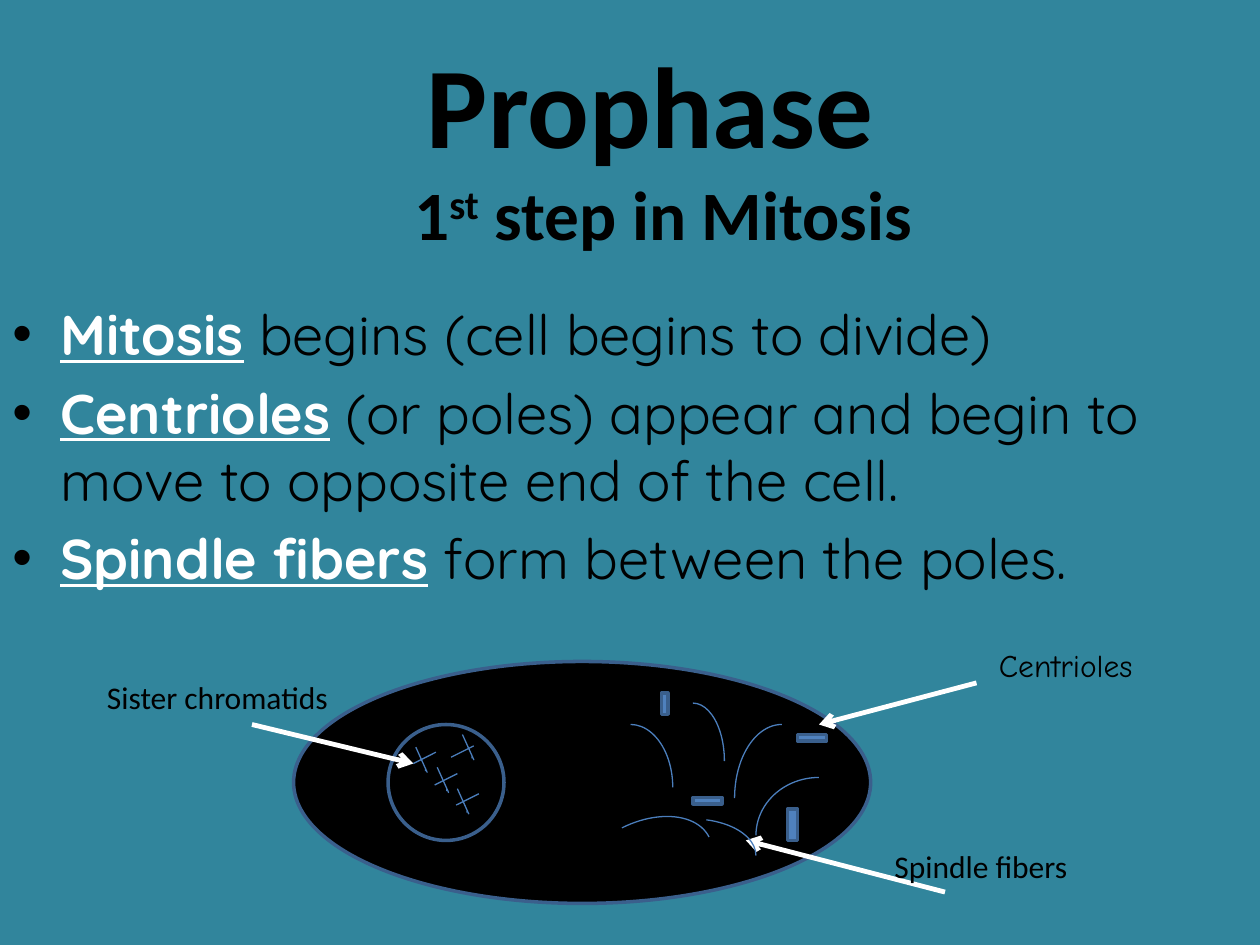
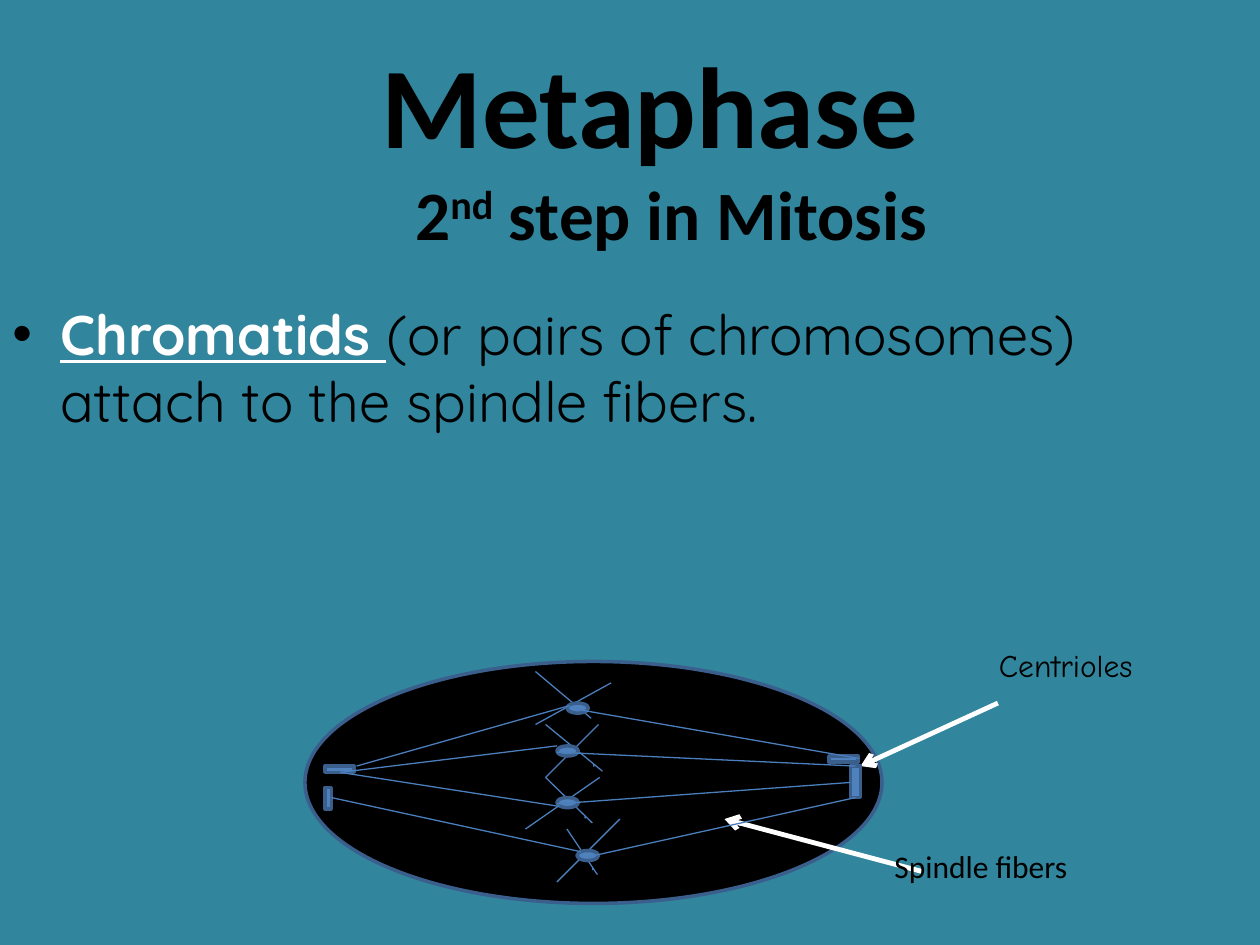
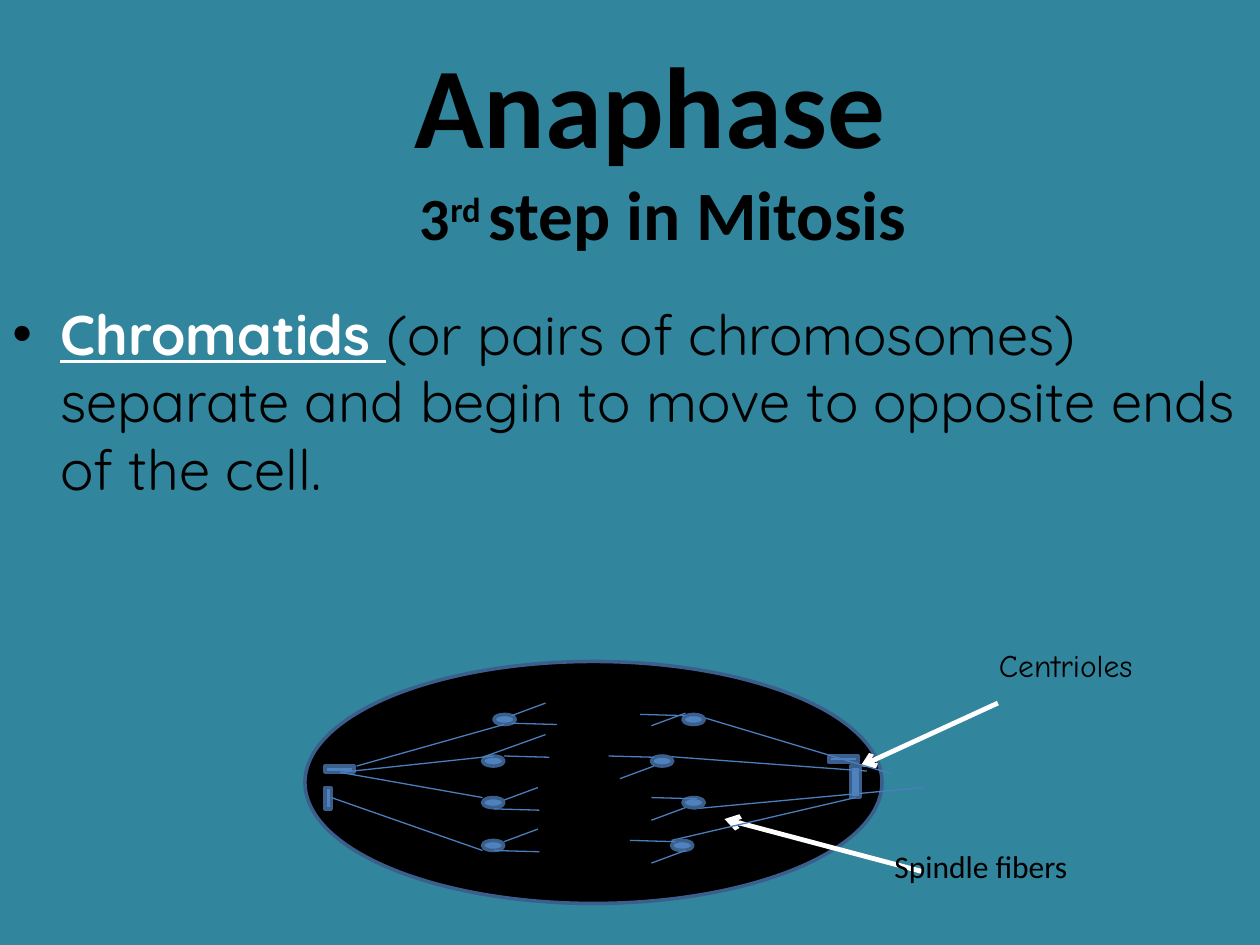
from dataclasses import dataclass

from lxml import etree
from pptx import Presentation
from pptx.dml.color import RGBColor
from pptx.enum.shapes import MSO_CONNECTOR, MSO_SHAPE
from pptx.enum.text import MSO_ANCHOR, MSO_AUTO_SIZE, PP_ALIGN
from pptx.oxml.ns import qn
from pptx.util import Inches, Pt


@dataclass(frozen=True)
class Theme:
    background: str = "31859C"
    text: str = "000000"
    accent: str = "FFFFFF"
    cell: str = "000000"
    organelle: str = "4F81BD"
    outline: str = "3A5F8C"
    strand: str = "4B7EBC"
    heading_font: str = "Calibri"
    body_font: str = "Quicksand"
    note_font: str = "Comic Neue"
    phase_size: float = 65.7
    step_size: float = 39.6
    small_step_size: float = 34.2
    body_size: float = 32
    label_size: float = 18
    outline_width: float = 2
    strand_width: float = 0.75
    pointer_width: float = 2.75


THEME = Theme()
TITLE_BOX = (0, 0.17, 10, 1.94)
BODY_BOX = (0, 2.33, 10, 2.75)
CELL_SIZE = (4.58, 1.92)
KINETOCHORE_SIZE = (0.17, 0.08)
RISING_ARM = (0.27, -0.1)
FLAT_ARM = (0.36, 0.01)
CHROMATID_FALL = (0.09, 0.2)
CHROMATID_RISE = (-0.18, 0.09)


def arms(starts, delta):
    return [(x, y, x + delta[0], y + delta[1]) for x, y in starts]


# Labels: text, font, left, top, width, wraps
CENTRIOLES = ("Centrioles", THEME.note_font, 7.83, 5.08, 2.17, True)
SPINDLE_FIBERS = ("Spindle fibers", THEME.heading_font, 7, 6.67, 1.73, False)
SISTER_CHROMATIDS = ("Sister chromatids", THEME.heading_font, 0.75, 5.33, 2.15, False)

POLE_POINTERS = [(7.92, 5.58, 6.83, 6.08), (7.33, 6.92, 5.75, 6.5)]
POLE_CENTRIOLES = [(2.58, 6.25, 0.05, 0.17), (6.58, 6, 0.23, 0.05),
                   (6.75, 6.08, 0.08, 0.25), (2.58, 6.08, 0.23, 0.05)]

SLIDES = [
    {
        "phase": "Prophase ",
        "step": [("1", THEME.step_size, False), ("st", THEME.step_size, True),
                 (" step in Mitosis", THEME.step_size, False)],
        "bullets": [
            ("Mitosis", " begins (cell begins to divide)"),
            ("Centrioles", " (or poles) appear and begin to move to opposite end of the cell."),
            ("Spindle fibers", " form between the poles."),
        ],
        "diagram": [
            ("cell", [(2.33, 5.25)]),
            ("nucleus", [(3.08, 5.75, 0.92, 0.92)]),
            ("pointer", [(7.75, 5.42, 6.5, 5.75), (2, 5.75, 3.28, 6.06),
                         (7.5, 7.08, 5.92, 6.67)]),
            ("label", [CENTRIOLES, SISTER_CHROMATIDS, SPINDLE_FIBERS]),
            ("hooked", arms([(3.3, 5.93), (3.47, 6.09), (3.63, 6.26), (3.67, 5.83)],
                            CHROMATID_FALL)),
            ("strand", arms([(3.46, 5.97), (3.63, 6.14), (3.8, 6.3), (3.76, 5.92)],
                            CHROMATID_RISE)),
            # left, top, width, height, flipped, rotation, start adjustment
            ("arc", [(4.67, 5.75, 0.67, 1, False, 0, None),
                     (5.83, 5.75, 0.75, 1.17, True, 0, None),
                     (5.25, 5.58, 0.5, 0.92, False, 0, None),
                     (5, 6.5, 1, 0.58, False, 0, 174.43),
                     (6, 6.17, 1, 0.92, True, 0, None),
                     (4.73, 6.32, 0.75, 1.17, True, 63.4, None)]),
            ("centriole", [(5.25, 5.5, 0.05, 0.17), (6.33, 5.83, 0.23, 0.05),
                           (6.25, 6.42, 0.08, 0.25), (5.5, 6.33, 0.23, 0.05)]),
        ],
    },
    {
        "phase": "Metaphase ",
        "step": [(" 2", THEME.step_size, False), ("nd", THEME.step_size, True),
                 (" step in Mitosis", THEME.step_size, False)],
        "bullets": [("Chromatids ", "(or pairs of chromosomes) attach to the spindle fibers.")],
        "diagram": [
            ("cell", [(2.42, 5.25)]),
            ("pointer", POLE_POINTERS),
            ("label", [CENTRIOLES, SPINDLE_FIBERS]),
            ("hooked", [(4.5, 6.58, 4.74, 6.94), (4.33, 5.75, 4.78, 6.12),
                        (4.33, 6.17, 4.7, 6.53), (4.25, 5.33, 4.69, 5.7)]),
            ("strand", [(4.92, 6.5, 4.42, 7), (4.75, 5.75, 4.33, 6.17),
                        (4.76, 6.17, 4.17, 6.58), (4.85, 5.42, 4.25, 5.75)]),
            ("centriole", POLE_CENTRIOLES),
            ("kinetochore", [(4.5, 5.58), (4.42, 5.92), (4.42, 6.33), (4.58, 6.75)]),
            ("strand", [(2.83, 6.08, 4.52, 5.6), (2.7, 6.13, 4.42, 5.92),
                        (2.7, 6.13, 4.44, 6.4), (2.63, 6.33, 4.61, 6.76),
                        (4.58, 5.63, 6.82, 6.02), (4.42, 5.97, 6.79, 6.08),
                        (4.42, 6.38, 6.75, 6.21), (4.67, 6.8, 6.79, 6.33)]),
        ],
    },
    {
        "phase": "Anaphase ",
        "step": [("3", THEME.small_step_size, False), ("rd ", THEME.small_step_size, True),
                 ("step in Mitosis", THEME.step_size, False)],
        "bullets": [("Chromatids ", "(or pairs of chromosomes) separate and begin to move "
                                    "to opposite ends of the cell.")],
        "diagram": [
            ("cell", [(2.42, 5.25)]),
            ("pointer", POLE_POINTERS),
            ("label", [CENTRIOLES, SPINDLE_FIBERS]),
            ("centriole", POLE_CENTRIOLES),
            ("kinetochore", [(3.92, 5.67), (3.83, 6), (3.83, 6.33), (3.83, 6.67)]),
            ("strand", [(2.83, 6.08, 4, 5.75), (2.7, 6.13, 3.92, 6),
                        (2.7, 6.13, 3.83, 6.33), (2.63, 6.33, 3.83, 6.75),
                        (5.5, 5.67, 7.07, 6.14), (5.25, 6, 6.88, 6.12),
                        (5.5, 6.42, 7.33, 6.25), (5.33, 6.67, 6.79, 6.33)]),
            ("kinetochore", [(5.42, 5.67), (5.17, 6), (5.42, 6.33), (5.33, 6.67)]),
            ("strand", [(3.83, 6.01, 4.33, 5.83)]),
            ("strand", arms([(4.06, 5.68), (5.17, 6.85), (5.17, 6.51), (4.92, 6.18),
                             (5.17, 5.76), (4, 6.35), (4, 6.68)], RISING_ARM)),
            ("strand", arms([(4.06, 5.74), (4, 6), (3.92, 6.42), (3.92, 6.75),
                             (5.08, 5.67), (4.83, 6), (5.17, 6.33), (5, 6.67)], FLAT_ARM)),
        ],
    },
]


def rgb(color):
    return RGBColor.from_string(color)


def set_line(shape, color, width):
    shape.line.color.rgb = rgb(color)
    shape.line.width = Pt(width)


def format_run(run, font_name, size, color=THEME.text, bold=False, underline=False):
    font = run.font
    font.name, font.size, font.bold, font.underline = font_name, Pt(size), bold, underline
    font.color.rgb = rgb(color)


def add_run(paragraph, text, *style, **options):
    run = paragraph.add_run()
    run.text = text
    format_run(run, *style, **options)
    return run


def add_preset(slide, preset, box, fill=None, line=THEME.outline, width=THEME.outline_width):
    shape = slide.shapes.add_shape(preset, *map(Inches, box))
    shape.shadow.inherit = False
    if fill:
        shape.fill.solid()
        shape.fill.fore_color.rgb = rgb(fill)
    else:
        shape.fill.background()
    set_line(shape, line, width)
    return shape


def add_cell(slide, left, top):
    add_preset(slide, MSO_SHAPE.OVAL, (left, top, *CELL_SIZE), THEME.cell)


def add_nucleus(slide, *box):
    add_preset(slide, MSO_SHAPE.FLOWCHART_CONNECTOR, box)


def add_kinetochore(slide, left, top):
    box = (left, top, *KINETOCHORE_SIZE)
    add_preset(slide, MSO_SHAPE.FLOWCHART_CONNECTOR, box, THEME.organelle)


def add_centriole(slide, *box):
    add_preset(slide, MSO_SHAPE.RECTANGLE, box, THEME.organelle)


def add_arc(slide, left, top, width, height, flipped, rotation, start):
    arc = add_preset(slide, MSO_SHAPE.ARC, (left, top, width, height),
                     line=THEME.strand, width=THEME.strand_width)
    arc.rotation = rotation
    if start is not None:
        arc.adjustments[0] = start
    if flipped:
        arc._element.spPr.xfrm.set("flipH", "1")


def add_strand(slide, *ends, color=THEME.strand, width=THEME.strand_width):
    connector = slide.shapes.add_connector(MSO_CONNECTOR.STRAIGHT, *map(Inches, ends))
    set_line(connector, color, width)
    etree.SubElement(connector._element.spPr, qn("a:effectLst"))
    return connector


def add_pointer(slide, *ends):
    pointer = add_strand(slide, *ends, color=THEME.accent, width=THEME.pointer_width)
    line = pointer._element.spPr.find(qn("a:ln"))
    etree.SubElement(line, qn("a:tailEnd"), type="arrow")


def add_hooked(slide, x1, y1, x2, y2):
    """Draw a chromatid that turns back at its end and drops slightly."""
    back_x, back_y = x1 + 0.85 * (x2 - x1), y1 + 0.85 * (y2 - y1)
    points = [(x2, y2), (back_x, back_y), (back_x, back_y + 0.02)]
    builder = slide.shapes.build_freeform(Inches(x1), Inches(y1))
    builder.add_line_segments([(Inches(x), Inches(y)) for x, y in points], close=False)
    chromatid = builder.convert_to_shape()
    chromatid.shadow.inherit = False
    chromatid.fill.background()
    set_line(chromatid, THEME.strand, THEME.strand_width)


def add_label(slide, text, font_name, left, top, width, wraps):
    box = slide.shapes.add_textbox(*map(Inches, (left, top, width, 0.4)))
    frame = box.text_frame
    frame.word_wrap = wraps
    frame.auto_size = MSO_AUTO_SIZE.SHAPE_TO_FIT_TEXT
    add_run(frame.paragraphs[0], text, font_name, THEME.label_size)


def set_title(slide, phase, step):
    title = slide.shapes.title
    title.left, title.top, title.width, title.height = map(Inches, TITLE_BOX)
    frame = title.text_frame
    frame.auto_size = MSO_AUTO_SIZE.NONE
    frame.vertical_anchor = MSO_ANCHOR.MIDDLE
    paragraph = frame.paragraphs[0]
    paragraph.alignment = PP_ALIGN.CENTER
    properties = paragraph._p.get_or_add_pPr()
    properties.set("marL", str(Inches(0.53)))
    properties.set("indent", "0")
    add_run(paragraph, phase, THEME.heading_font, THEME.phase_size, bold=True)
    paragraph.add_line_break()
    for text, size, raised in step:
        run = add_run(paragraph, text, THEME.heading_font, size, bold=True)
        if raised:
            run.font._element.set("baseline", "30000")


def add_bullet(paragraph):
    properties = paragraph._p.get_or_add_pPr()
    properties.set("marL", str(Inches(0.38)))
    properties.set("indent", str(-Inches(0.38)))
    color = etree.SubElement(properties, qn("a:buClr"))
    etree.SubElement(color, qn("a:srgbClr"), val=THEME.text)
    etree.SubElement(properties, qn("a:buFont"), typeface="Arial")
    etree.SubElement(properties, qn("a:buChar"), char="•")


def add_body(slide, bullets):
    frame = slide.shapes.add_textbox(*map(Inches, BODY_BOX)).text_frame
    frame.word_wrap = True
    for index, (term, rest) in enumerate(bullets):
        paragraph = frame.add_paragraph() if index else frame.paragraphs[0]
        add_bullet(paragraph)
        if index:
            paragraph.space_before = Pt(0.2 * THEME.body_size)
        add_run(paragraph, term, THEME.body_font, THEME.body_size,
                color=THEME.accent, bold=True, underline=True)
        add_run(paragraph, rest, THEME.body_font, THEME.body_size)


DRAW = {
    "cell": add_cell, "nucleus": add_nucleus, "kinetochore": add_kinetochore,
    "centriole": add_centriole, "arc": add_arc, "strand": add_strand,
    "pointer": add_pointer, "hooked": add_hooked, "label": add_label,
}


def main():
    presentation = Presentation()
    presentation.slide_width, presentation.slide_height = Inches(10), Inches(7.5)
    for content in SLIDES:
        slide = presentation.slides.add_slide(presentation.slide_layouts[5])
        slide.background.fill.solid()
        slide.background.fill.fore_color.rgb = rgb(THEME.background)
        set_title(slide, content["phase"], content["step"])
        add_body(slide, content["bullets"])
        for kind, items in content["diagram"]:
            for item in items:
                DRAW[kind](slide, *item)
    presentation.save("out.pptx")


if __name__ == "__main__":
    main()
